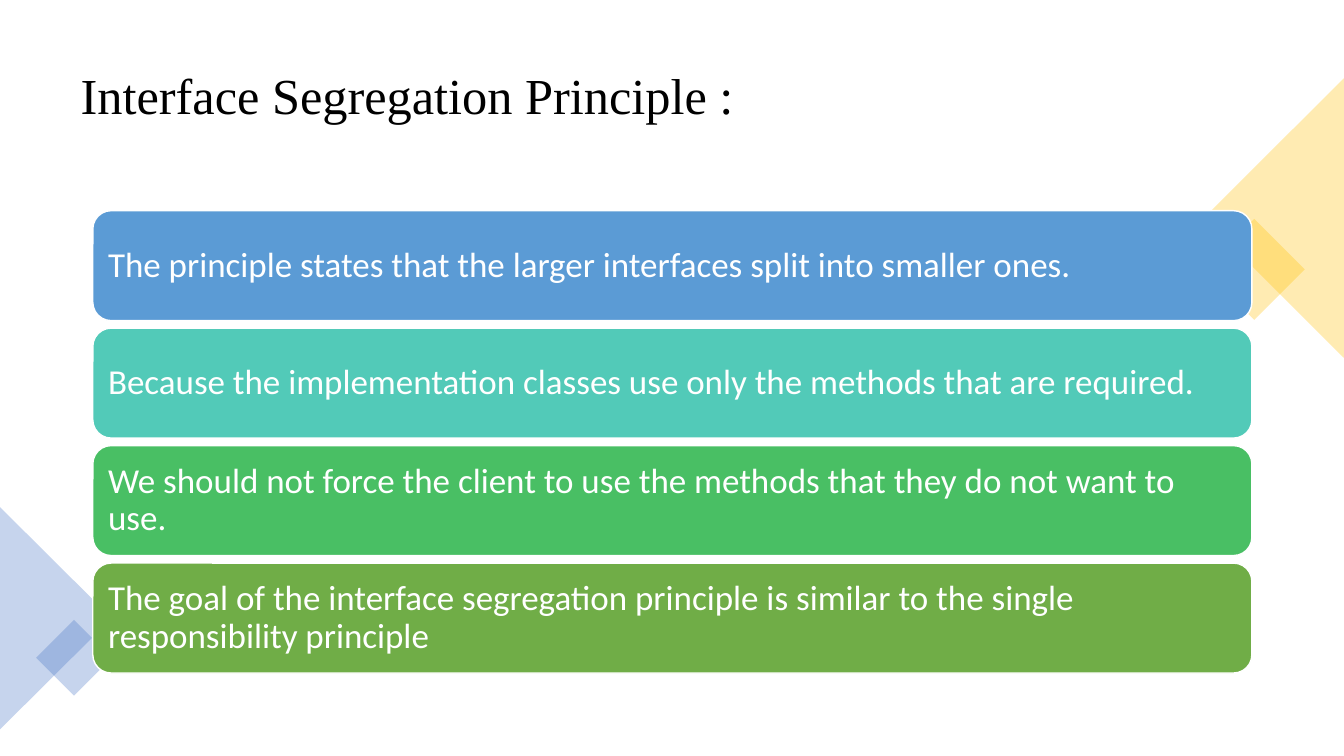
from pptx import Presentation
from pptx.dml.color import RGBColor
from pptx.enum.shapes import MSO_SHAPE as SHAPE
from pptx.enum.text import MSO_ANCHOR as ANCHOR, MSO_AUTO_SIZE as AUTO, PP_ALIGN as ALIGN
from pptx.oxml.ns import qn
from pptx.util import Cm, Pt
from lxml import etree

COLORS = {"black": "000000", "white": "FFFFFF", "gold": "FFC000", "navy": "4472C4",
          "blue": "5B9BD5", "teal": "52CAB8", "green": "49BF64", "olive": "70AD47"}


def add_filled(kind, box, color):
    sp = s.shapes.add_shape(kind, *[Cm(v) for v in box])
    sp.shadow.inherit = False
    sp.fill.solid()
    sp.fill.fore_color.rgb = RGBColor.from_string(COLORS[color])
    return sp


def set_text(sp, text, font, size, color):
    tf = sp.text_frame
    tf.text = text
    tf.word_wrap = True
    tf.auto_size = AUTO.NONE
    tf.vertical_anchor = ANCHOR.MIDDLE
    p = tf.paragraphs[0]
    p.alignment = ALIGN.LEFT
    p.line_spacing = 0.9
    r = p.runs[0]
    r.font.name = font
    r.font.size = Pt(size)
    r.font.color.rgb = RGBColor.from_string(COLORS[color])


prs = Presentation()
prs.slide_width, prs.slide_height = Cm(33.87), Cm(19.05)
s = prs.slides.add_slide(prs.slide_layouts[5])

title = s.shapes.title
title.left, title.top, title.width, title.height = Cm(1.78), Cm(0.89), Cm(30.3), Cm(3.15)
set_text(title, "Interface Segregation Principle :", "Times New Roman", 36, "black")

decorations = [
    (SHAPE.RECTANGLE, (30.71, 5.89, 1.8, 1.8), 45, "gold"),
    (SHAPE.ISOSCELES_TRIANGLE, (28.58, 3.73, 7.04, 3.53), 270, "gold"),
    (SHAPE.ISOSCELES_TRIANGLE, (-1.4, 14.17, 5.61, 2.82), 90, "navy"),
    (SHAPE.RECTANGLE, (1.19, 15.9, 1.35, 1.35), 45, "navy"),
]
for kind, box, angle, color in decorations:
    sp = add_filled(kind, box, color)
    sp.rotation = angle
    sp.line.fill.background()
    rgb = sp.fill._xPr.find(qn("a:solidFill")).find(qn("a:srgbClr"))
    etree.SubElement(rgb, qn("a:alpha")).set("val", "30000")

points = [
    ("The principle states that the larger interfaces split into smaller ones.", "blue"),
    ("Because the implementation classes use only the methods that are required.", "teal"),
    ("We should not force the client to use the methods that they do not want to use.", "green"),
    ("The goal of the interface segregation principle is similar to the single "
     "responsibility principle", "olive"),
]
for i, (text, color) in enumerate(points):
    bar = add_filled(SHAPE.ROUNDED_RECTANGLE, (2.34, 5.31 + 2.96 * i, 29.21, 2.77), color)
    bar.line.color.rgb = RGBColor.from_string(COLORS["white"])
    bar.line.width = Pt(1)
    set_text(bar, text, "Calibri", 25, "white")
    tf = bar.text_frame
    tf.margin_left = tf.margin_right = tf.margin_top = tf.margin_bottom = Cm(0.25)

prs.save("out.pptx")
